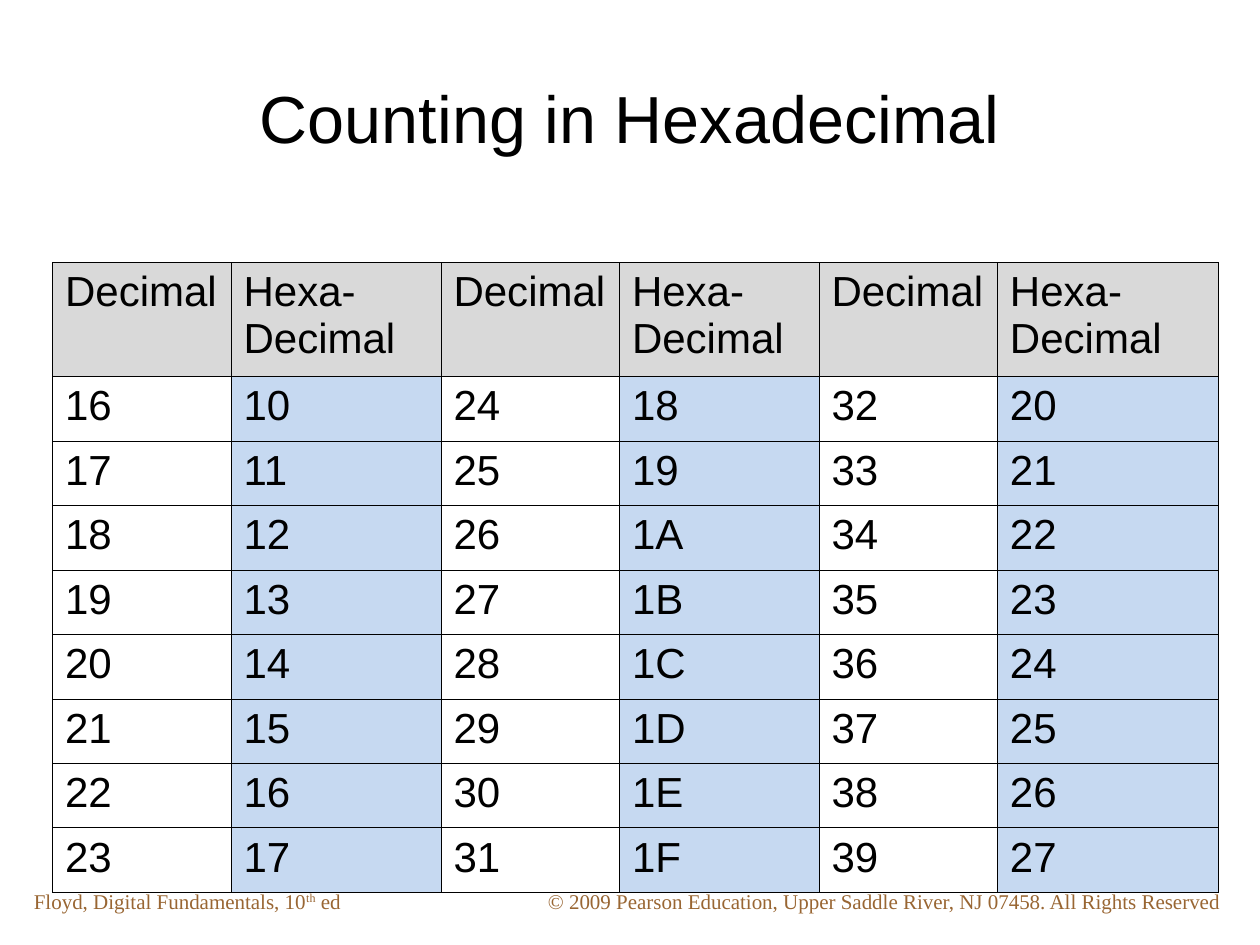
from lxml import etree
from pptx import Presentation
from pptx.dml.color import RGBColor
from pptx.enum.text import MSO_ANCHOR, PP_ALIGN
from pptx.oxml.ns import qn
from pptx.util import Inches, Pt

LEFT, CENTER, JUSTIFY = PP_ALIGN.LEFT, PP_ALIGN.CENTER, PP_ALIGN.JUSTIFY
MIDDLE = MSO_ANCHOR.MIDDLE

TITLE = "Counting in Hexadecimal"
EDITION = [("Floyd, Digital Fundamentals, 10", 0), ("th", 30), (" ed", 0)]
COPYRIGHT = [("© 2009 Pearson Education, Upper Saddle River, NJ 07458. "
              "All Rights Reserved", 0)]
HEADERS = [["Decimal"], ["Hexa-", "Decimal"]]
FIRST, COUNT, PAIRS = 16, 8, 3

# The table lies on a grid of twelfths of an inch.
UNIT = Inches(1) / 12
TABLE_LEFT, TABLE_TOP, TABLE_HEIGHT = 5, 25, 60
COL_UNITS = [17, 20, 17, 19, 17, 21]
HEADER_UNITS = 10.85
ROW_UNITS = (TABLE_HEIGHT - HEADER_UNITS) / COUNT
BLACK, BROWN, GREY, BLUE = "000000", "996633", "D9D9D9", "C6D9F1"


def rgb(color):
    return RGBColor.from_string(color)


def units(n):
    return round(n * UNIT)


def add_run(p, text, size, font, color, baseline=0):
    r = p.add_run()
    r.text = text
    r.font.size, r.font.name = Pt(size), font
    r.font.color.rgb = rgb(color)
    if baseline:
        r.font._element.set("baseline", str(baseline * 1000))


def add_text(slide, box, runs, size, font, color, align=LEFT, anchor=None):
    tf = slide.shapes.add_textbox(*map(Inches, box)).text_frame
    tf.word_wrap = True
    tf.vertical_anchor = anchor
    p = tf.paragraphs[0]
    p.alignment = align
    for text, baseline in runs:
        add_run(p, text, size, font, color, baseline)


def add_borders(cell, color, width):
    """Draw the four sides; lines must precede the fill in the cell's XML."""
    tc_pr = cell._tc.get_or_add_tcPr()
    for i, side in enumerate(("lnL", "lnR", "lnT", "lnB")):
        ln = etree.Element(qn("a:" + side), w=str(Pt(width)))
        fill = etree.SubElement(ln, qn("a:solidFill"))
        etree.SubElement(fill, qn("a:srgbClr"), val=color)
        tc_pr.insert(i, ln)


def fill_cell(cell, lines, fill):
    if fill:
        cell.fill.solid()
        cell.fill.fore_color.rgb = rgb(fill)
    else:
        cell.fill.background()
    add_borders(cell, BLACK, 0.45)
    tf = cell.text_frame
    for i, line in enumerate(lines):
        p = tf.add_paragraph() if i else tf.paragraphs[0]
        p.alignment = JUSTIFY
        add_run(p, line, 24, "Arial", BLACK)


def add_counting_table(slide):
    box = (TABLE_LEFT, TABLE_TOP, sum(COL_UNITS), TABLE_HEIGHT)
    frame = slide.shapes.add_table(COUNT + 1, 2 * PAIRS, *map(units, box))
    table = frame.table
    table.first_row = table.horz_banding = False
    for row in table.rows:
        row.height = units(ROW_UNITS)
    table.rows[0].height = units(HEADER_UNITS)
    for c, width in enumerate(COL_UNITS):
        table.columns[c].width = units(width)
        pair, is_hex = divmod(c, 2)
        fill_cell(table.cell(0, c), HEADERS[is_hex], GREY)
        for i in range(COUNT):
            number = FIRST + pair * COUNT + i
            text = f"{number:X}" if is_hex else str(number)
            fill_cell(table.cell(i + 1, c), [text], BLUE if is_hex else None)


def main():
    prs = Presentation()
    prs.slide_width, prs.slide_height = Inches(10), Inches(7.5)
    s = prs.slides.add_slide(prs.slide_layouts[6])
    for box, runs in (((4.25, 7, 5.58, 0.3), COPYRIGHT),
                      ((0.17, 7, 3.08, 0.3), EDITION)):
        add_text(s, box, runs, 12, "Times New Roman", BROWN)
    add_text(s, (0.5, 0.3, 9, 1.25), [(TITLE, 0)], 38, "Arial", BLACK,
             CENTER, MIDDLE)
    add_counting_table(s)
    prs.save("out.pptx")


if __name__ == "__main__":
    main()
